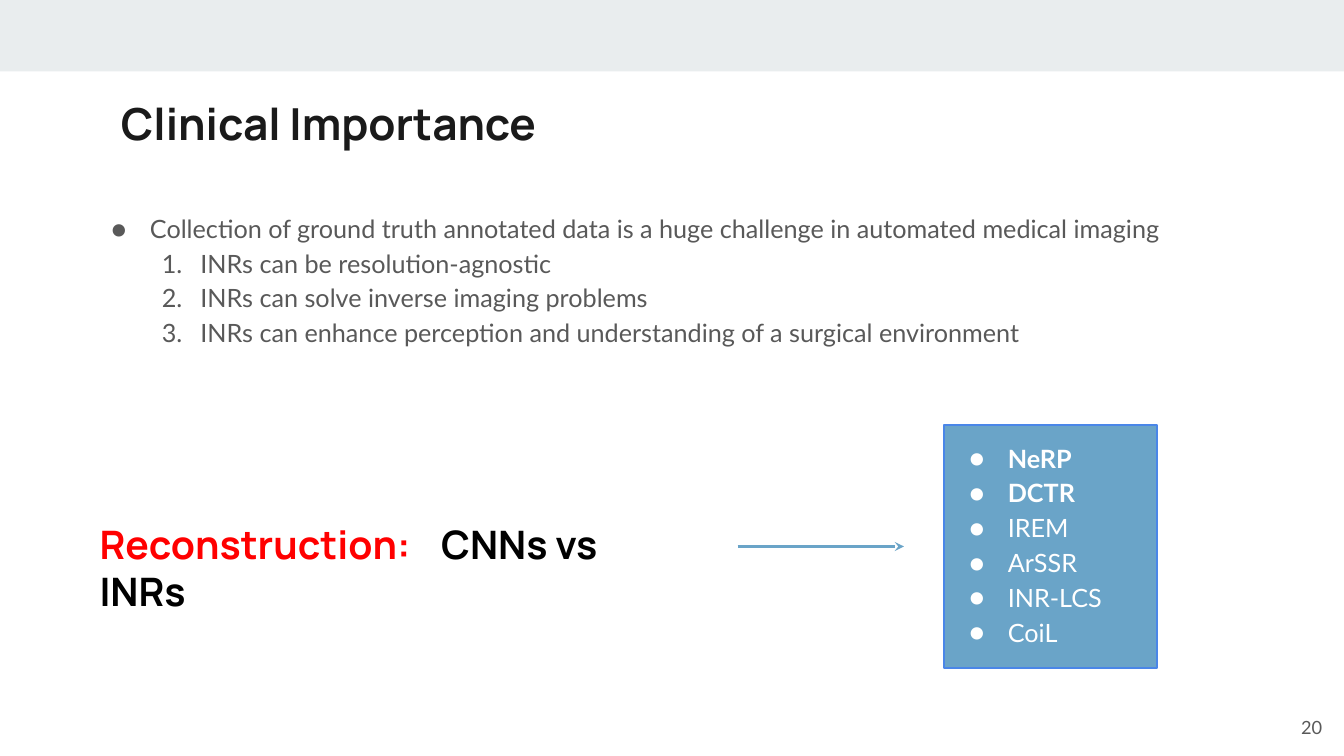
import pptx
import pptx.dml.color
import pptx.enum.shapes
import pptx.enum.text
import pptx.oxml
import pptx.oxml.ns
import pptx.util
from lxml import etree

Cm, Pt = pptx.util.Cm, pptx.util.Pt

# Content
TITLE = "Clinical Importance"
CHALLENGE = "Collection of ground truth annotated data is a huge challenge in automated medical imaging"
BENEFITS = [
    "INRs can be resolution-agnostic",
    "INRs can solve inverse imaging problems",
    "INRs can enhance perception and understanding of a surgical environment",
]
TASK, COMPARISON = "Reconstruction:", "CNNs vs INRs"
METHODS = [("NeRP", True), ("DCTR", True), ("IREM", False),
           ("ArSSR", False), ("INR-LCS", False), ("CoiL", False)]
PAGE_NUMBER = "20"

# Style and layout, in centimetres: left, top, width, height
HEADING, BODY = "Manrope", "Lato"
INK, GREY, BLACK, WHITE, RED = "1A1A1A", "595959", "000000", "FFFFFF", "FF0000"
BAND, BLUE, OUTLINE = "E9EDEE", "6AA4C8", "4A86E8"
SLIDE_WIDTH, SLIDE_HEIGHT = 33.87, 19.05
BAND_BOX = (0, 0, SLIDE_WIDTH, 1.8)
TITLE_BOX = (2.72, 2.11, 28.47, 1.98)
POINTS_BOX = (2.18, 4.93, 29.16, 4.42)
TASK_BOX = (2.18, 12.78, 15.52, 1.98)
METHODS_BOX = (23.8, 10.72, 5.36, 6.12)
NUMBER_BOX = (31.62, 17.6, 2.03, 1.45)
ARROW_LEFT, ARROW_RIGHT, ARROW_Y = 18.59, 22.78, 13.77
MARGIN, INDENT, HANGING, COMPARISON_TAB = 0.33, 1.27, 0.97, 8.61


def color(hex_string):
    return pptx.dml.color.RGBColor.from_string(hex_string)


def add_child(parent, tag, **attributes):
    child = etree.SubElement(parent, pptx.oxml.ns.qn(tag))
    for name, value in attributes.items():
        child.set(name, str(value))
    return child


def style(font, name, size, hex_string, bold=False):
    font.name, font.size, font.bold = name, Pt(size), bold
    font.color.rgb = color(hex_string)


def prepare(shape):
    frame = shape.text_frame
    frame.word_wrap = True
    frame.vertical_anchor = pptx.enum.text.MSO_ANCHOR.TOP
    frame.margin_left = frame.margin_right = Cm(MARGIN)
    frame.margin_top = frame.margin_bottom = Cm(MARGIN)
    return frame


def add_text(slide, box):
    return prepare(slide.shapes.add_textbox(*map(Cm, box)))


def add_rectangle(slide, box, fill):
    kind = pptx.enum.shapes.MSO_SHAPE.RECTANGLE
    shape = slide.shapes.add_shape(kind, *map(Cm, box))
    shape.shadow.inherit = False
    shape.fill.solid()
    shape.fill.fore_color.rgb = color(fill)
    shape.line.fill.background()
    return shape


def fill_list(frame, items, hex_string):
    """Each item is (text, level, numbered, bold)."""
    frame.text = "\n".join(item[0] for item in items)
    for paragraph, (_, level, numbered, bold) in zip(frame.paragraphs, items):
        properties = paragraph._p.get_or_add_pPr()
        properties.set("marL", str(Cm(INDENT * (level + 1))))
        properties.set("indent", str(Cm(-HANGING)))
        properties.set("lvl", str(level))
        add_child(add_child(properties, "a:buClr"), "a:srgbClr", val=hex_string)
        add_child(properties, "a:buFont", typeface=BODY)
        if numbered:
            add_child(properties, "a:buAutoNum", type="arabicPeriod")
        else:
            add_child(properties, "a:buChar", char="●")
        paragraph.alignment = pptx.enum.text.PP_ALIGN.LEFT
        paragraph.line_spacing = 1.15
        style(paragraph.runs[0].font, BODY, 18, hex_string, bold)


presentation = pptx.Presentation()
presentation.slide_width, presentation.slide_height = Cm(SLIDE_WIDTH), Cm(SLIDE_HEIGHT)
slide = presentation.slides.add_slide(presentation.slide_layouts[6])

# Top band and title
add_rectangle(slide, BAND_BOX, BAND)
title = add_text(slide, TITLE_BOX)
title.text = TITLE
style(title.paragraphs[0].runs[0].font, HEADING, 31.5, INK, True)

# Main points
points = [(CHALLENGE, 0, False, False)]
points += [(benefit, 1, True, False) for benefit in BENEFITS]
fill_list(add_text(slide, POINTS_BOX), points, GREY)

# Task heading, with a tab stop before the comparison
paragraph = add_text(slide, TASK_BOX).paragraphs[0]
tabs = add_child(paragraph._p.get_or_add_pPr(), "a:tabLst")
add_child(tabs, "a:tab", pos=Cm(COMPARISON_TAB), algn="l")
paragraph.text = TASK + "\t"
paragraph.add_run().text = COMPARISON
for run, hex_string in zip(paragraph.runs, (RED, BLACK)):
    style(run.font, HEADING, 28, hex_string, True)

# Methods box
methods = add_rectangle(slide, METHODS_BOX, BLUE)
methods.line.color.rgb = color(OUTLINE)
methods.line.width = Pt(1.5)
fill_list(prepare(methods), [(name, 0, False, bold) for name, bold in METHODS], WHITE)

# Arrow from the task to the methods
arrow = slide.shapes.add_connector(
    pptx.enum.shapes.MSO_CONNECTOR.STRAIGHT,
    Cm(ARROW_LEFT), Cm(ARROW_Y), Cm(ARROW_RIGHT), Cm(ARROW_Y))
arrow.line.color.rgb = color(BLUE)
arrow.line.width = Pt(2.25)
add_child(arrow.line._get_or_add_ln(), "a:tailEnd", type="stealth")
add_child(arrow._element.spPr, "a:effectLst")

# Page number
number = add_text(slide, NUMBER_BOX)
number.vertical_anchor = pptx.enum.text.MSO_ANCHOR.MIDDLE
number.text = PAGE_NUMBER
number.paragraphs[0].alignment = pptx.enum.text.PP_ALIGN.RIGHT
style(number.paragraphs[0].runs[0].font, BODY, 13, GREY)

presentation.save("out.pptx")
